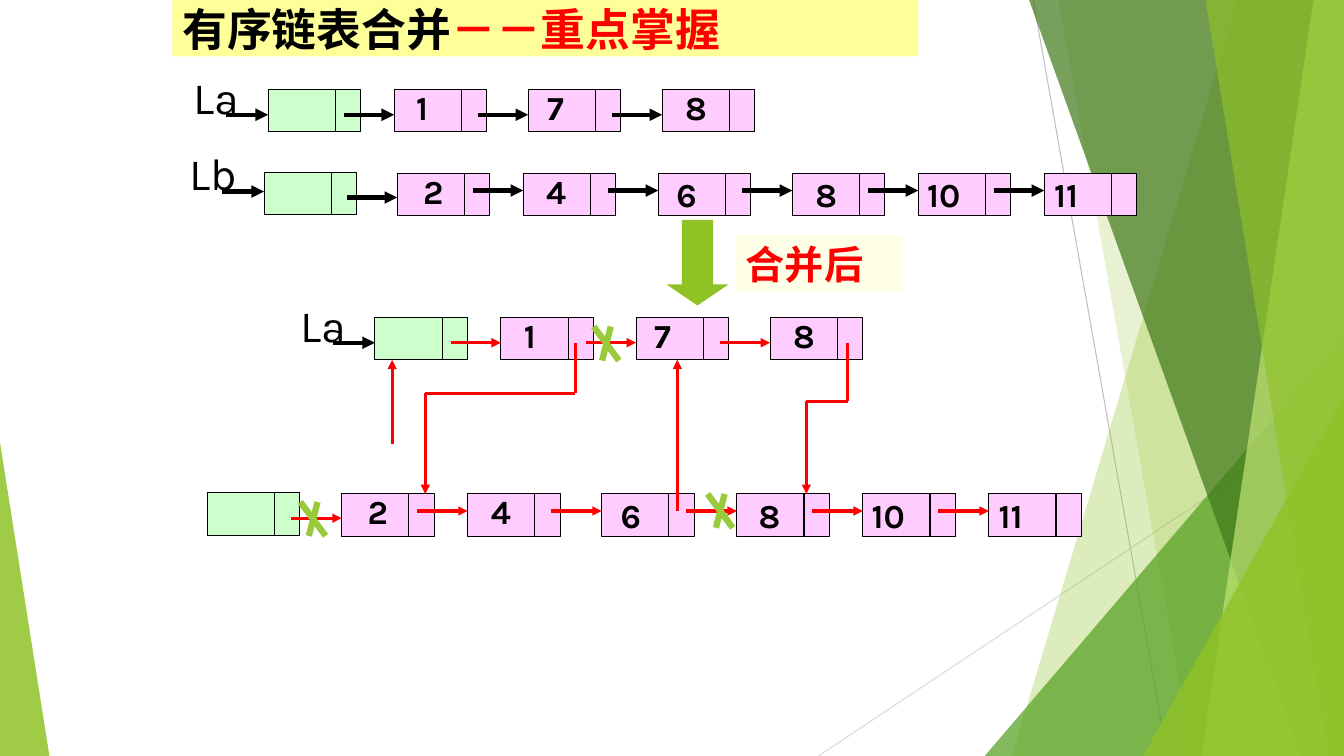
"""Build the slide on merging two ordered linked lists."""
from dataclasses import dataclass
from itertools import pairwise

from lxml import etree
from pptx import Presentation
from pptx.dml.color import RGBColor
from pptx.enum.lang import MSO_LANGUAGE_ID
from pptx.enum.shapes import MSO_CONNECTOR, MSO_SHAPE
from pptx.enum.text import MSO_ANCHOR, MSO_AUTO_SIZE, PP_ALIGN
from pptx.oxml.ns import qn
from pptx.util import Pt

STRAIGHT = MSO_CONNECTOR.STRAIGHT
RECTANGLE, TRIANGLE = MSO_SHAPE.RECTANGLE, MSO_SHAPE.ISOSCELES_TRIANGLE
DOWN_ARROW = MSO_SHAPE.DOWN_ARROW
MIDDLE, LEFT = MSO_ANCHOR.MIDDLE, PP_ALIGN.LEFT
GROW = MSO_AUTO_SIZE.SHAPE_TO_FIT_TEXT
CHINESE = MSO_LANGUAGE_ID.SIMPLIFIED_CHINESE

BLACK = RGBColor(0x00, 0x00, 0x00)
RED = RGBColor(0xFF, 0x00, 0x00)
PINK = RGBColor(0xFF, 0xCC, 0xFF)
MINT = RGBColor(0xCC, 0xFF, 0xCC)
YELLOW = RGBColor(0xFF, 0xFF, 0x99)
CREAM = RGBColor(0xFF, 0xFF, 0xE7)
GREEN = RGBColor(0x90, 0xC2, 0x26)
LEAF = RGBColor(0x54, 0xA0, 0x21)
FOREST = RGBColor(0x3F, 0x78, 0x19)
LIME = RGBColor(0xC0, 0xE4, 0x74)
CROSS_GREEN = RGBColor(0x99, 0xCA, 0x3C)
GREY = RGBColor(0xBF, 0xBF, 0xBF)
LIGHT_GREY = RGBColor(0xD9, 0xD9, 0xD9)

WIDTH, HEIGHT = 960, 540
DATA_WIDTH, LINK_WIDTH, NODE_HEIGHT = 48, 18, 30.2
ARROW_LENGTH, ENTRY_LENGTH = 36, 30


@dataclass(frozen=True)
class Sail:
    """Background panel that reaches the right edge of the slide."""
    top_x: float
    bottom_x: float
    color: RGBColor
    opacity: int


@dataclass(frozen=True)
class Wedge:
    """Background triangle standing on the bottom edge of the slide."""
    left: float
    top: float
    width: float
    apex: float
    color: RGBColor
    opacity: int


@dataclass(frozen=True)
class Node:
    """List node whose value sits at an offset from its corner."""
    x: float
    value: str
    dx: float
    dy: float = -5.6


@dataclass(frozen=True)
class Chain:
    """Linked list with a head node and the heights of its arrows."""
    head_x: float
    head_y: float
    nodes_y: float
    first_arrow_y: float
    arrow_y: float
    color: RGBColor
    weight: float
    nodes: tuple[Node, ...]
    label: str = ""
    label_y: float = 0
    entry_y: float = 0


@dataclass(frozen=True)
class Route:
    """Red link that passes through the given points."""
    points: tuple[tuple[float, float], ...]


BACKDROP = (
    Sail(884.2, 722.9, GREEN, 30),
    Sail(756, 851.8, GREEN, 20),
    Wedge(703.4, 239.8, 256.6, 1, LEAF, 72),
    Sail(735.1, 929.5, FOREST, 70),
    Sail(938.2, 858.2, LIME, 70),
    Sail(861.1, 949, GREEN, 65),
    Wedge(816.5, 283, 143.5, 1, GREEN, 80),
    Wedge(0, 316.1, 35.3, 0, GREEN, 85),
)
CHAINS = (
    Chain(191.5, 64.1, 64.1, 82, 82, BLACK, 3,
          (Node(281.5, "1", 8.6), Node(377.3, "7", 6.5), Node(473, "8", 9.4)),
          "La", 46.1, 82),
    Chain(188.6, 123.1, 123.8, 141.1, 136.1, BLACK, 3,
          (Node(283.7, "2", 11.5), Node(373.7, "4", 9.4), Node(470.2, "6", 5.8, -2.9),
           Node(565.9, "8", 9.4, -2.9), Node(655.9, "10", -0.7, -2.9),
           Node(745.9, "11", 0, -2.9)),
          "Lb", 100.8, 136.8),
    Chain(267.8, 226.8, 226.8, 244.8, 244.8, RED, 2.25,
          (Node(357.8, "1", 9.4), Node(454.3, "7", 5.8), Node(550.1, "8", 9.4)),
          "La", 208.8, 244.8),
    Chain(148.3, 352.1, 352.8, 370.1, 365, RED, 2.25,
          (Node(244.1, "2", 11.5), Node(334.1, "4", 9.4), Node(429.8, "6", 6.5, -2.9),
           Node(526.3, "8", 8.6, -2.9), Node(616.3, "10", -0.7, -2.9),
           Node(706.3, "11", 0, -2.9))),
)
ROUTES = (
    Route(((280.1, 316.8), (280.1, 257))),
    Route(((410.9, 244.8), (410.9, 280.8), (303.8, 280.8), (303.8, 352.8))),
    Route(((483.8, 365), (483.8, 257))),
    Route(((605.5, 244.8), (605.5, 286.6), (576, 286.6), (576, 352.8))),
)
CROSSES = ((424.1, 233.3), (505.4, 352.8), (214.6, 358.6))


def draw_line(shapes, start, end, color: RGBColor, weight: float, arrow: bool = False) -> None:
    line = shapes.add_connector(STRAIGHT, *map(Pt, (*start, *end)))
    line.line.color.rgb = color
    line.line.width = Pt(weight)
    if arrow:
        etree.SubElement(line.line._get_or_add_ln(), qn("a:tailEnd"), type="triangle")
    etree.SubElement(line._element.spPr, qn("a:effectLst"))


def paint(shape, color: RGBColor, opacity: int = 100) -> None:
    shape.shadow.inherit = False
    shape.line.fill.background()
    shape.fill.solid()
    shape.fill.fore_color.rgb = color
    if opacity < 100:
        tint = shape._element.spPr.find(qn("a:solidFill"))[0]
        etree.SubElement(tint, qn("a:alpha"), val=str(opacity * 1000))


def draw_panel(shapes, panel: Sail | Wedge) -> None:
    if isinstance(panel, Sail):
        outline = shapes.build_freeform(Pt(panel.top_x), 0)
        corners = ((WIDTH, 0), (WIDTH, HEIGHT), (panel.bottom_x, HEIGHT))
        outline.add_line_segments([(Pt(x), Pt(y)) for x, y in corners])
        shape = outline.convert_to_shape()
    else:
        box = (panel.left, panel.top, panel.width, HEIGHT - panel.top)
        shape = shapes.add_shape(TRIANGLE, *map(Pt, box))
        shape.adjustments[0] = panel.apex
    paint(shape, panel.color, panel.opacity)


def draw_text(shapes, x: float, y: float, text: str, size: float, bold: bool) -> None:
    width, height = (50, 45.4) if size > 24 else (15 + 14.7 * len(text), 36)
    frame = shapes.add_textbox(*map(Pt, (x, y, width, height))).text_frame
    frame.word_wrap = False
    frame.auto_size = GROW
    frame.text = text
    font = frame.paragraphs[0].font
    font.name, font.size, font.bold = "Karla", Pt(size), bold
    font.color.rgb = BLACK


def draw_node(shapes, x: float, y: float, color: RGBColor) -> None:
    for left, width in ((x, DATA_WIDTH), (x + DATA_WIDTH, LINK_WIDTH)):
        cell = shapes.add_shape(RECTANGLE, *map(Pt, (left, y, width, NODE_HEIGHT)))
        paint(cell, color)
        cell.line.color.rgb = BLACK
        cell.line.width = Pt(0.75)


def draw_chain(shapes, chain: Chain) -> None:
    draw_node(shapes, chain.head_x, chain.head_y, MINT)
    for node in chain.nodes:
        draw_node(shapes, node.x, chain.nodes_y, PINK)
    for index, node in enumerate(chain.nodes):
        y = chain.arrow_y if index else chain.first_arrow_y
        draw_line(shapes, (node.x - ARROW_LENGTH, y), (node.x, y), chain.color, chain.weight, True)
        draw_text(shapes, node.x + node.dx, chain.nodes_y + node.dy, node.value, 24, True)
    if chain.label:
        draw_line(shapes, (chain.head_x - ENTRY_LENGTH, chain.entry_y),
                  (chain.head_x, chain.entry_y), BLACK, 3, True)
        draw_text(shapes, chain.head_x - 60.2, chain.label_y, chain.label, 32, False)


def draw_banner(shapes, box, fill: RGBColor, size: float, pieces) -> None:
    banner = shapes.add_shape(RECTANGLE, *map(Pt, box))
    paint(banner, fill)
    frame = banner.text_frame
    frame.vertical_anchor = MIDDLE
    frame.margin_top = frame.margin_bottom = 0
    paragraph = frame.paragraphs[0]
    paragraph.alignment = LEFT
    paragraph.font.size, paragraph.font.bold = Pt(size), True
    for text, name, color in pieces:
        run = paragraph.add_run()
        run.text = text
        run.font.name, run.font.language_id = name, CHINESE
        run.font.color.rgb = color


def main() -> None:
    deck = Presentation()
    deck.slide_width, deck.slide_height = Pt(WIDTH), Pt(HEIGHT)
    shapes = deck.slides.add_slide(deck.slide_layouts[6]).shapes
    draw_line(shapes, (738, 0), (833.8, HEIGHT), GREY, 0.75)
    draw_line(shapes, (WIDTH, 290.2), (584.6, HEIGHT), LIGHT_GREY, 0.75)
    for panel in BACKDROP:
        draw_panel(shapes, panel)
    for chain in CHAINS:
        draw_chain(shapes, chain)
    for route in ROUTES:
        for start, end in pairwise(route.points):
            draw_line(shapes, start, end, RED, 2.25, end == route.points[-1])
    for x, y in CROSSES:
        draw_line(shapes, (x + 12.2, y), (x + 6, y + 24.2), CROSS_GREEN, 4.5)
        draw_line(shapes, (x, y), (x + 18, y + 24.2), CROSS_GREEN, 4.5)
    merge_arrow = shapes.add_shape(DOWN_ARROW, *map(Pt, (475.9, 157, 44.6, 61.2)))
    merge_arrow.adjustments[0], merge_arrow.adjustments[1] = 0.5, 0.34
    paint(merge_arrow, GREEN)
    draw_banner(shapes, (525.6, 167.8, 118.8, 41), CREAM, 28,
                (("合并后", "Times New Roman", RED),))
    draw_banner(shapes, (123.1, 0, 532.8, 40.3), YELLOW, 32,
                (("有序链表合并", "Noto Sans CJK SC", BLACK), ("－－重点掌握", "Karla", RED)))
    deck.save("out.pptx")


if __name__ == "__main__":
    main()
